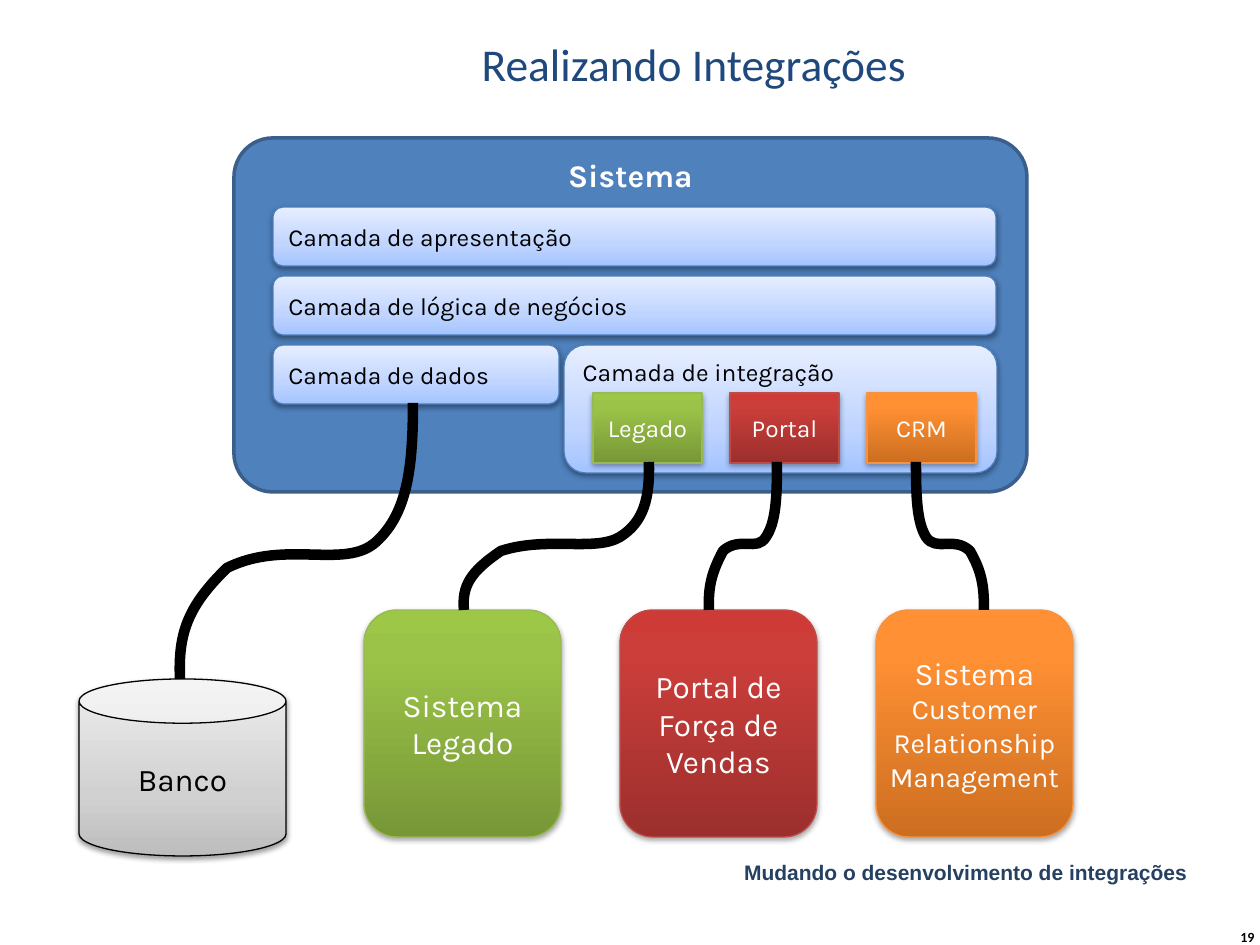
from lxml.etree import SubElement
from pptx import Presentation
from pptx.dml.color import RGBColor
from pptx.enum.shapes import MSO_SHAPE
from pptx.enum.text import MSO_ANCHOR, PP_ALIGN
from pptx.oxml.ns import qn
from pptx.util import Pt

PX = 914400 / 126
WIDTH, HEIGHT = 1260, 945

BLUE = ([(0, "A4C4FF"), (35, "BFD4FF"), (100, "E6EEFF")], "4B7EBC", 38)
GRAY = ([(0, "BDBDBD"), (35, "D1D1D1"), (100, "EEEEEE")], "000000", 38)
GREEN = ([(0, "779737"), (80, "9BC348"), (100, "9DC746")], "98B955", 35)
RED = ([(0, "9C2F2D"), (80, "CB3E3A"), (100, "CE3B37")], "BF4C48", 35)
ORANGE = ([(0, "CC6E20"), (80, "FF9034"), (100, "FF9136")], "F69240", 35)

LABELS = [
    ("Realizando Integrações", (295, 30, 798, 69), 26, "Calibri", "1F497D", False, PP_ALIGN.CENTER, MSO_ANCHOR.TOP),
    ("19", (1199, 912, 68, 50), 8, "Calibri", "000000", True, PP_ALIGN.RIGHT, MSO_ANCHOR.MIDDLE),
    ("Mudando o desenvolvimento de integrações", (65, 853, 1135, 39), 12, "Arial", "254061", True,
     PP_ALIGN.RIGHT, MSO_ANCHOR.TOP),
]
LAYERS = [("Camada de apresentação", 723), ("Camada de lógica de negócios", 723), ("Camada de dados", 286)]
INTEGRATIONS = [
    ("Legado", [("Sistema Legado", 18)], GREEN),
    ("Portal", [("Portal de Força de Vendas", 18)], RED),
    ("CRM", [("Sistema", 18), ("Customer Relationship Management", 16)], ORANGE),
]
DATABASE_CABLE = [(413, 403), (413, 469), (407, 514), (376, 542), (345, 570), (285, 539), (227, 568),
                  (188, 606), (178, 633), (180, 679)]
SYSTEM_CABLES = [
    [(649, 462), (650, 498), (644, 522), (620, 537), (595, 552), (547, 536), (501, 551),
     (470, 572), (462, 586), (464, 610)],
    [(916, 462), (916, 498), (917, 522), (926, 537), (936, 552), (954, 536), (970, 551),
     (982, 572), (984, 586), (984, 610)],
    [(777, 462), (777, 498), (776, 522), (766, 537), (757, 552), (740, 536), (723, 551),
     (712, 572), (708, 586), (709, 610)],
]
LAYER_LEFT, LAYER_TOP, LAYER_HEIGHT, LAYER_PITCH = 273, 207, 59, 69
PORT_LEFT, PORT_PITCH = 593, 137
SYSTEM_LEFT, SYSTEM_PITCH = 364, 256


def emu(pixels):
    return round(pixels * PX)


def color(value):
    return RGBColor.from_string(value)


def write(shape, lines, font_color, align=PP_ALIGN.CENTER, anchor=MSO_ANCHOR.MIDDLE, font="Karla", bold=False):
    frame = shape.text_frame
    frame.word_wrap = True
    frame.vertical_anchor = anchor
    for index, (text, size) in enumerate(lines):
        paragraph = frame.paragraphs[0] if index == 0 else frame.add_paragraph()
        paragraph.text = text
        paragraph.alignment = align
        paragraph.font.name = font
        paragraph.font.size = Pt(size)
        paragraph.font.bold = bold
        paragraph.font.color.rgb = color(font_color)


def add_color(parent, value):
    return SubElement(parent, qn("a:srgbClr"), val=value)


def add_block(slide, kind, box, theme):
    stops, line_color, shadow_alpha = theme
    shape = slide.shapes.add_shape(kind, *map(emu, box))
    shape.fill.gradient()
    shape.fill.gradient_angle = 90
    properties = shape.element.spPr
    stop_list = properties.find(qn("a:gradFill")).find(qn("a:gsLst"))
    stop_list.clear()
    for position, value in stops:
        add_color(SubElement(stop_list, qn("a:gs"), pos=str(position * 1000)), value)
    shape.line.color.rgb = color(line_color)
    shape.line.width = Pt(0.75)
    shape.shadow.inherit = False
    shadow = SubElement(properties.find(qn("a:effectLst")), qn("a:outerShdw"),
                        blurRad="40000", dist="20000", dir="5400000", rotWithShape="0")
    SubElement(add_color(shadow, "000000"), qn("a:alpha"), val=str(shadow_alpha * 1000))
    return shape


def add_cable(slide, nodes):
    start, *others = [tuple(map(emu, node)) for node in nodes]
    builder = slide.shapes.build_freeform(*start)
    builder.add_line_segments(others, close=False)
    cable = builder.convert_to_shape()
    outline = next(cable.element.iter(qn("a:path")))
    segments = outline.findall(qn("a:lnTo"))
    for first in range(0, len(segments), 3):
        curve = SubElement(outline, qn("a:cubicBezTo"))
        for segment in segments[first:first + 3]:
            curve.append(segment[0])
            outline.remove(segment)
    cable.fill.background()
    cable.line.color.rgb = color("000000")
    cable.line.width = Pt(6)
    cable.shadow.inherit = False


def main():
    presentation = Presentation()
    presentation.slide_width, presentation.slide_height = emu(WIDTH), emu(HEIGHT)
    slide = presentation.slides.add_slide(presentation.slide_layouts[6])

    for text, box, size, font, font_color, bold, align, anchor in LABELS:
        label = slide.shapes.add_textbox(*map(emu, box))
        write(label, [(text, size)], font_color, align, anchor, font, bold)

    container = slide.shapes.add_shape(MSO_SHAPE.ROUNDED_RECTANGLE, *map(emu, (234, 138, 793, 354)))
    container.adjustments[0] = 0.11
    container.fill.solid()
    container.fill.fore_color.rgb = color("4F81BD")
    container.line.color.rgb = color("3A5F8C")
    container.line.width = Pt(2)
    container.shadow.inherit = False
    write(container, [("Sistema", 18)], "FFFFFF", anchor=MSO_ANCHOR.TOP, bold=True)

    for row, (text, width) in enumerate(LAYERS):
        box = (LAYER_LEFT, LAYER_TOP + row * LAYER_PITCH, width, LAYER_HEIGHT)
        layer = add_block(slide, MSO_SHAPE.ROUNDED_RECTANGLE, box, BLUE)
        write(layer, [(text, 14)], "000000", PP_ALIGN.LEFT)

    database = add_block(slide, MSO_SHAPE.CAN, (79, 679, 207, 177), GRAY)
    write(database, [("Banco", 18)], "000000")

    integration = add_block(slide, MSO_SHAPE.ROUNDED_RECTANGLE, (564, 345, 433, 128), BLUE)
    write(integration, [("Camada de integração", 14)], "000000", PP_ALIGN.LEFT, MSO_ANCHOR.TOP)

    for column, (text, _, theme) in enumerate(INTEGRATIONS):
        box = (PORT_LEFT + column * PORT_PITCH, 393, 109, 70)
        port = add_block(slide, MSO_SHAPE.RECTANGLE, box, theme)
        write(port, [(text, 14)], "FFFFFF")

    add_cable(slide, DATABASE_CABLE)

    for column, (_, lines, theme) in enumerate(INTEGRATIONS):
        box = (SYSTEM_LEFT + column * SYSTEM_PITCH, 610, 197, 227)
        system = add_block(slide, MSO_SHAPE.ROUNDED_RECTANGLE, box, theme)
        write(system, lines, "FFFFFF")
        if len(lines) > 1:
            system.text_frame.margin_left = system.text_frame.margin_right = 0

    for nodes in SYSTEM_CABLES:
        add_cable(slide, nodes)

    presentation.save("out.pptx")


if __name__ == "__main__":
    main()
